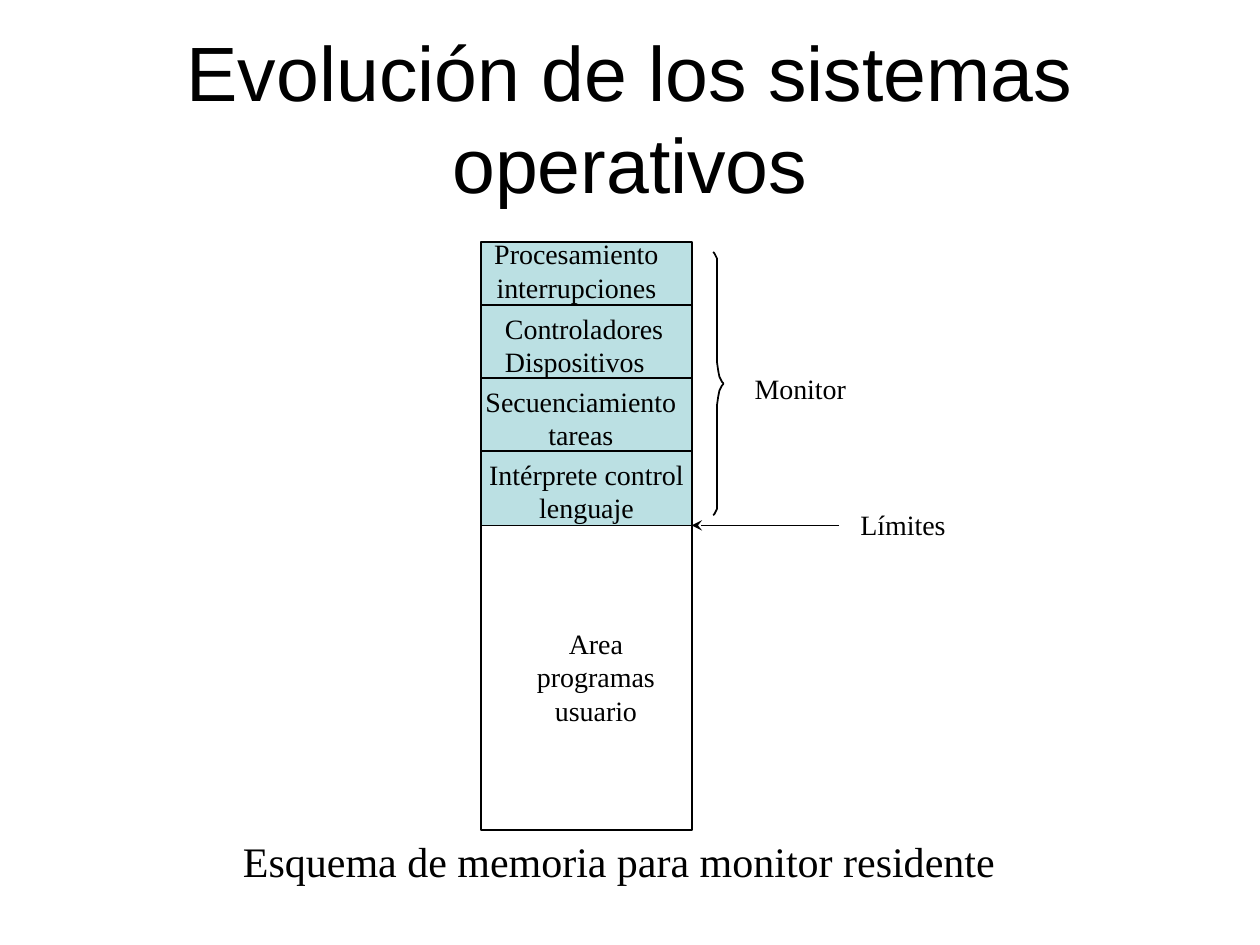
from lxml.etree import SubElement
from pptx import Presentation
from pptx.dml.color import RGBColor
from pptx.enum.shapes import MSO_CONNECTOR, MSO_SHAPE
from pptx.enum.text import MSO_ANCHOR, MSO_AUTO_SIZE, PP_ALIGN
from pptx.oxml.ns import qn
from pptx.util import Inches, Pt

COLORS = {"ink": "000000", "monitor": "BBE0E3", "user": "FFFFFF"}
TITLE = "Evolución de los sistemas operativos"
CAPTION = ("Esquema de memoria para monitor residente", 1.83, 6.58, 6.17, 0.5)
LEFT, RIGHT = 3.82, 5.49
MONITOR_TOP, LIMIT, USER_BOTTOM = 1.92, 4.17, 6.59
FIRST_DIVIDER, SECTION_HEIGHT = 2.42, 0.58
CENTERED_LABELS = [
    ("Procesamiento\ninterrupciones", 3.82, 1.83, 1.51, 0.63),
    ("Secuenciamiento\ntareas", 3.75, 3.0, 1.72, 0.63),
    ("Intérprete control\nlenguaje", 3.78, 3.58, 1.75, 0.63),
    ("Area\nprogramas\nusuario", 4.16, 4.92, 1.14, 0.9),
]
LEFT_LABELS = [
    ("Controladores\nDispositivos", 3.91, 2.42, 1.46, 0.63),
    ("Monitor", 5.89, 2.9, 0.93, 0.37),
    ("Límites", 6.73, 3.98, 0.88, 0.37),
]
BRACE_TOP, BRACE_BOTTOM = 2.0, 4.09
BRACE_HALF = [(5.66, 0), (5.67, 0.01), (5.69, 0.05), (5.69, 0.11), (5.69, 0.87),
              (5.7, 0.94), (5.71, 0.99), (5.73, 1.03), (5.74, 1.04)]


def color(name):
    return RGBColor.from_string(COLORS[name])


def style_text(frame, font, size, align):
    for paragraph in frame.paragraphs:
        paragraph.alignment = align
        for run in paragraph.runs:
            run.font.name = font
            run.font.size = Pt(size)
            run.font.color.rgb = color("ink")


def style_line(part):
    part.line.color.rgb = color("ink")
    part.line.width = Pt(1)


def add_label(shapes, text, left, top, width, height, size=16, align=PP_ALIGN.LEFT):
    label = shapes.add_textbox(Inches(left), Inches(top), Inches(width), Inches(height))
    label.text_frame.word_wrap = False
    label.text_frame.text = text
    style_text(label.text_frame, "Times New Roman", size, align)


def add_region(shapes, top, bottom, fill):
    region = shapes.add_shape(MSO_SHAPE.RECTANGLE, Inches(LEFT), Inches(top),
                              Inches(RIGHT - LEFT), Inches(bottom - top))
    region.shadow.inherit = False
    region.fill.solid()
    region.fill.fore_color.rgb = color(fill)
    style_line(region)


def add_line(shapes, start, end, y):
    line = shapes.add_connector(MSO_CONNECTOR.STRAIGHT, Inches(start), Inches(y),
                                Inches(end), Inches(y))
    style_line(line)
    SubElement(line._element.spPr, qn("a:effectLst"))
    return line


def add_brace(shapes):
    upper = [(x, BRACE_TOP + offset) for x, offset in BRACE_HALF]
    lower = [(x, BRACE_BOTTOM - offset) for x, offset in reversed(BRACE_HALF)]
    points = [(Inches(x), Inches(y)) for x, y in upper + lower]
    builder = shapes.build_freeform(*points[0])
    builder.add_line_segments(points[1:], close=False)
    brace = builder.convert_to_shape()
    brace.shadow.inherit = False
    brace.fill.background()
    style_line(brace)


def main():
    """Build the slide on the memory layout of a resident monitor."""
    presentation = Presentation()
    presentation.slide_width, presentation.slide_height = Inches(10), Inches(7.5)
    slide = presentation.slides.add_slide(presentation.slide_layouts[5])

    title = slide.shapes.title
    title.left, title.top = Inches(0.5), Inches(0.3)
    title.width, title.height = Inches(9), Inches(1.25)
    title.text_frame.text = TITLE
    title.text_frame.auto_size = MSO_AUTO_SIZE.NONE
    title.text_frame.vertical_anchor = MSO_ANCHOR.MIDDLE
    style_text(title.text_frame, "Arial", 44, PP_ALIGN.CENTER)

    memory = slide.shapes.add_group_shape().shapes
    add_region(memory, LIMIT, USER_BOTTOM, "user")
    add_region(memory, MONITOR_TOP, LIMIT, "monitor")
    for index in range(3):
        add_line(memory, RIGHT, LEFT, FIRST_DIVIDER + index * SECTION_HEIGHT)
    limit_arrow = add_line(memory, 6.66, RIGHT, LIMIT)
    SubElement(limit_arrow.line._get_or_add_ln(), qn("a:tailEnd"), type="stealth")
    add_brace(memory)
    for label in CENTERED_LABELS:
        add_label(memory, *label, align=PP_ALIGN.CENTER)
    for label in LEFT_LABELS:
        add_label(memory, *label)

    add_label(slide.shapes, *CAPTION, size=24)
    presentation.save("out.pptx")


if __name__ == "__main__":
    main()
